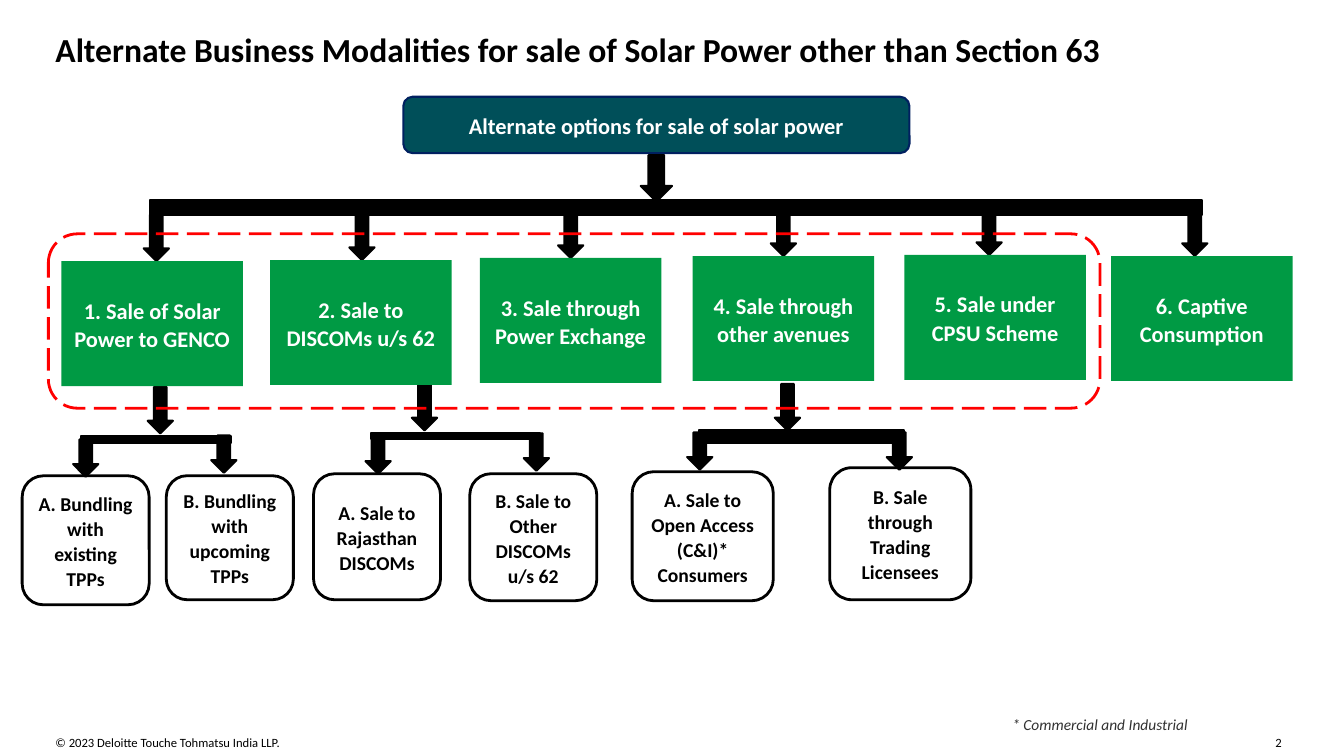
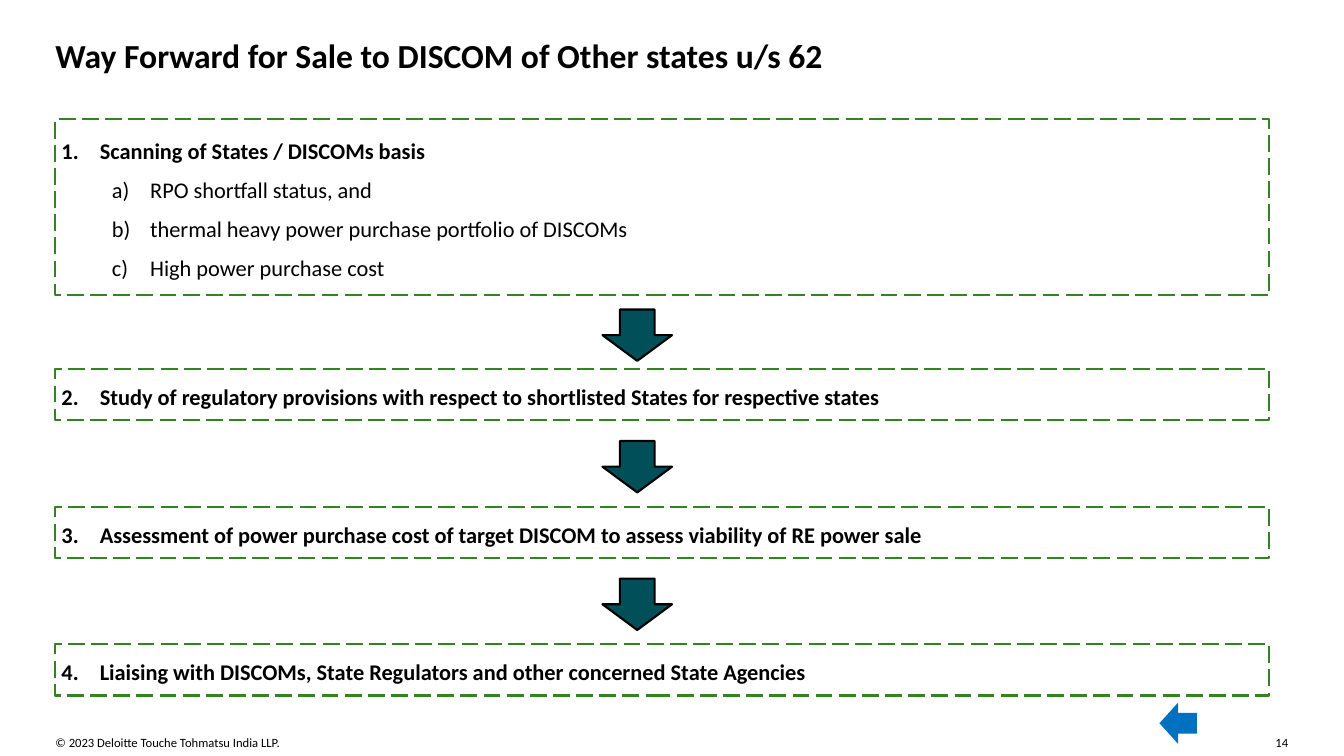
from dataclasses import dataclass
from itertools import pairwise

from lxml import etree
from pptx import Presentation
from pptx.dml.color import RGBColor
from pptx.enum import dml, shapes, text
from pptx.oxml.ns import qn
from pptx.util import Inches, Pt

SHAPE = shapes.MSO_SHAPE


@dataclass(frozen=True)
class Theme:
    font: str = "Calibri"
    black: str = "000000"
    white: str = "FFFFFF"
    teal: str = "004F59"
    navy: str = "002060"
    green: str = "009A44"
    frame_green: str = "328420"
    red: str = "FF0000"
    blue: str = "0070C0"
    grey: str = "313131"
    title: int = 24
    body: int = 16
    leaf: int = 14
    note: int = 11
    footer: int = 9


THEME = Theme()


@dataclass(frozen=True)
class Box:
    left: float
    top: float
    width: float
    height: float

    @property
    def bottom(self) -> float:
        return self.top + self.height

    def emu(self) -> tuple:
        return tuple(Inches(v) for v in (self.left, self.top, self.width, self.height))


@dataclass(frozen=True)
class Outline:
    color: str
    width: float = 1.5
    dashed: bool = False


BLACK_LINE = Outline(THEME.black)


@dataclass(frozen=True)
class Option:
    label: str
    left: float
    top: float
    arrow_x: float


@dataclass(frozen=True)
class Leaf:
    label: str
    box: Box
    arrow_x: float
    arrow_tip: float


@dataclass(frozen=True)
class Branch:
    stem_x: float
    stem_tip: float
    bar: Box
    leaves: tuple[Leaf, ...]


@dataclass(frozen=True)
class Step:
    heading: str
    top: float
    height: float = 0.51
    points: tuple[str, ...] = ()


OPTIONS = (
    Option("1. Sale of Solar Power to GENCO", 0.61, 2.59, 1.55),
    Option("2. Sale to DISCOMs u/s 62", 2.68, 2.58, 3.59),
    Option("3. Sale through Power Exchange", 4.76, 2.56, 5.66),
    Option("4. Sale through other avenues", 6.87, 2.54, 7.77),
    Option("5. Sale under CPSU Scheme", 8.97, 2.53, 9.81),
    Option("6. Captive Consumption", 11.02, 2.54, 11.85),
)

BRANCHES = (
    Branch(1.59, 4.3, Box(0.8, 4.33, 1.49, 0.07), (
        Leaf("A. Bundling with existing TPPs", Box(0.22, 4.72, 1.26, 1.28), 0.85, 4.73),
        Leaf("B. Bundling with upcoming TPPs", Box(1.65, 4.72, 1.26, 1.23), 2.22, 4.69),
    )),
    Branch(4.21, 4.27, Box(3.68, 4.3, 1.68, 0.06), (
        Leaf("A. Sale to Rajasthan DISCOMs", Box(3.11, 4.7, 1.26, 1.25), 3.75, 4.7),
        Leaf("B. Sale to Other DISCOMs u/s 62", Box(4.66, 4.7, 1.26, 1.26), 5.32, 4.67),
    )),
    Branch(7.81, 4.27, Box(6.93, 4.27, 2.04, 0.12), (
        Leaf("A. Sale to Open Access (C&I)* Consumers", Box(6.27, 4.68, 1.4, 1.28), 6.94, 4.66),
        Leaf("B. Sale through Trading Licensees", Box(8.23, 4.64, 1.4, 1.31), 8.92, 4.66),
    )),
)

STEPS = (
    Step("Scanning of States / DISCOMs basis", 1.18, 1.75, (
        "RPO shortfall status, and",
        "thermal heavy power purchase portfolio of DISCOMs",
        "High power purchase cost",
    )),
    Step("Study of regulatory provisions with respect to shortlisted States for respective states", 3.66),
    Step("Assessment of power purchase cost of target DISCOM to assess viability of RE power sale", 5.03),
    Step("Liaising with DISCOMs, State Regulators and other concerned State Agencies", 6.39),
)


def style(paragraph, size: int, color: str, bold: bool = False, italic: bool = False) -> None:
    font = paragraph.font
    font.name, font.size, font.bold, font.italic = THEME.font, Pt(size), bold, italic
    font.color.rgb = RGBColor.from_string(color)


def set_insets(frame, across: float, down: float) -> None:
    frame.margin_left = frame.margin_right = Inches(across)
    frame.margin_top = frame.margin_bottom = Inches(down)


def add_text(slide, box: Box, words: str, size: int, color: str = THEME.black,
             wrap: bool = True, bold: bool = False, italic: bool = False) -> None:
    frame = slide.shapes.add_textbox(*box.emu()).text_frame
    set_insets(frame, 0, 0)
    frame.word_wrap = wrap
    frame.text = words
    style(frame.paragraphs[0], size, color, bold, italic)


def add_block(slide, preset, box: Box, fill: str | None = None, outline: Outline | None = None):
    block = slide.shapes.add_shape(preset, *box.emu())
    block.shadow.inherit = False
    if fill:
        block.fill.solid()
        block.fill.fore_color.rgb = RGBColor.from_string(fill)
    else:
        block.fill.background()
    if outline:
        block.line.color.rgb = RGBColor.from_string(outline.color)
        block.line.width = Pt(outline.width)
        if outline.dashed:
            block.line.dash_style = dml.MSO_LINE.LONG_DASH
    else:
        block.line.fill.background()
    return block


def add_label(block, words: str, size: int, color: str) -> None:
    """Write centred bold text inside a block."""
    frame = block.text_frame
    set_insets(frame, 0.1, 0.1)
    frame.word_wrap = True
    frame.vertical_anchor = text.MSO_ANCHOR.MIDDLE
    frame.text = words
    paragraph = frame.paragraphs[0]
    paragraph.alignment = text.PP_ALIGN.CENTER
    paragraph.line_spacing = 1.06
    style(paragraph, size, color, bold=True)


def add_down_arrow(slide, center: float, tip: float, width: float = 0.25,
                   height: float = 0.46, fill: str = THEME.black) -> None:
    box = Box(center - width / 2, tip - height, width, height)
    add_block(slide, SHAPE.DOWN_ARROW, box, fill, BLACK_LINE)


def add_bar(slide, box: Box) -> None:
    add_block(slide, SHAPE.RECTANGLE, box, THEME.black, BLACK_LINE)


def number(paragraph, scheme: str, margin: float, start: int = 1) -> None:
    """Give a paragraph automatic numbering with a hanging indent."""
    properties = paragraph._p.get_or_add_pPr()
    properties.set("marL", str(Inches(margin)))
    properties.set("indent", str(Inches(-0.38)))
    numbering = etree.SubElement(properties, qn("a:buAutoNum"), type=scheme)
    if start > 1:
        numbering.set("startAt", str(start))


def start_slide(deck, title: str, title_top: float, page: int):
    slide = deck.slides.add_slide(deck.slide_layouts[6])
    add_text(slide, Box(0.55, 7.29, 5.86, 0.15), "© 2023 Deloitte Touche Tohmatsu India LLP.", THEME.footer)
    add_text(slide, Box(12.65, 7.29, 0.15, 0.15), str(page), THEME.footer, wrap=False)
    add_text(slide, Box(0.55, title_top, 12.24, 0.37), title, THEME.title, bold=True)
    return slide


def add_branch(slide, branch: Branch) -> None:
    add_down_arrow(slide, branch.stem_x, branch.stem_tip)
    add_bar(slide, branch.bar)
    for leaf in branch.leaves:
        block = add_block(slide, SHAPE.ROUNDED_RECTANGLE, leaf.box, THEME.white, Outline(THEME.black, 2))
        add_label(block, leaf.label, THEME.leaf, THEME.black)
        add_down_arrow(slide, leaf.arrow_x, leaf.arrow_tip, height=0.37)


def build_modalities(deck) -> None:
    slide = start_slide(deck, "Alternate Business Modalities for sale of Solar Power other than Section 63", 0.29, 2)
    root = add_block(slide, SHAPE.ROUNDED_RECTANGLE, Box(4, 0.96, 5.02, 0.56), THEME.teal, Outline(THEME.navy))
    add_label(root, "Alternate options for sale of solar power", THEME.body, THEME.white)
    add_bar(slide, Box(1.49, 1.98, 10.43, 0.15))
    add_down_arrow(slide, 6.51, 2, width=0.31)
    for branch in BRANCHES:
        add_branch(slide, branch)
    for option in OPTIONS:
        add_down_arrow(slide, option.arrow_x, option.top)
        block = add_block(slide, SHAPE.RECTANGLE, Box(option.left, option.top, 1.8, 1.24), THEME.green)
        add_label(block, option.label, THEME.body, THEME.white)
    add_block(slide, SHAPE.ROUNDED_RECTANGLE, Box(0.48, 2.32, 10.43, 1.73), outline=Outline(THEME.red, 2, True))
    add_text(slide, Box(10.04, 7.09, 1.97, 0.19), "* Commercial and Industrial", THEME.note, THEME.grey, italic=True)


def add_step(slide, position: int, step: Step) -> Box:
    box = Box(0.55, step.top, 12.04, step.height)
    block = add_block(slide, SHAPE.RECTANGLE, box, outline=Outline(THEME.frame_green, dashed=True))
    frame = block.text_frame
    set_insets(frame, 0.04, 0.03)
    frame.word_wrap = True
    frame.vertical_anchor = text.MSO_ANCHOR.MIDDLE
    frame.text = "\n".join((step.heading, *step.points))
    for index, paragraph in enumerate(frame.paragraphs):
        if index:
            paragraph.level = 1
            number(paragraph, "alphaLcParenR", 0.9)
        else:
            number(paragraph, "arabicPeriod", 0.4, position)
        paragraph.alignment = text.PP_ALIGN.LEFT
        paragraph.line_spacing = 1.14
        paragraph.space_after = Pt(6)
        style(paragraph, THEME.body, THEME.black, bold=index == 0)
    return box


def build_way_forward(deck) -> None:
    slide = start_slide(deck, "Way Forward for Sale to DISCOM of Other states u/s 62", 0.35, 14)
    boxes = [add_step(slide, position, step) for position, step in enumerate(STEPS, 1)]
    arrow_height = 0.51
    for upper, lower in pairwise(boxes):
        middle = (upper.bottom + lower.top) / 2 + 0.03
        add_down_arrow(slide, 6.32, middle + arrow_height / 2, 0.69, arrow_height, THEME.teal)
    add_block(slide, SHAPE.LEFT_ARROW, Box(11.5, 6.97, 0.37, 0.41), THEME.blue)


def main() -> None:
    deck = Presentation()
    deck.slide_width, deck.slide_height = Inches(13.33), Inches(7.5)
    build_modalities(deck)
    build_way_forward(deck)
    deck.save("out.pptx")


if __name__ == "__main__":
    main()
